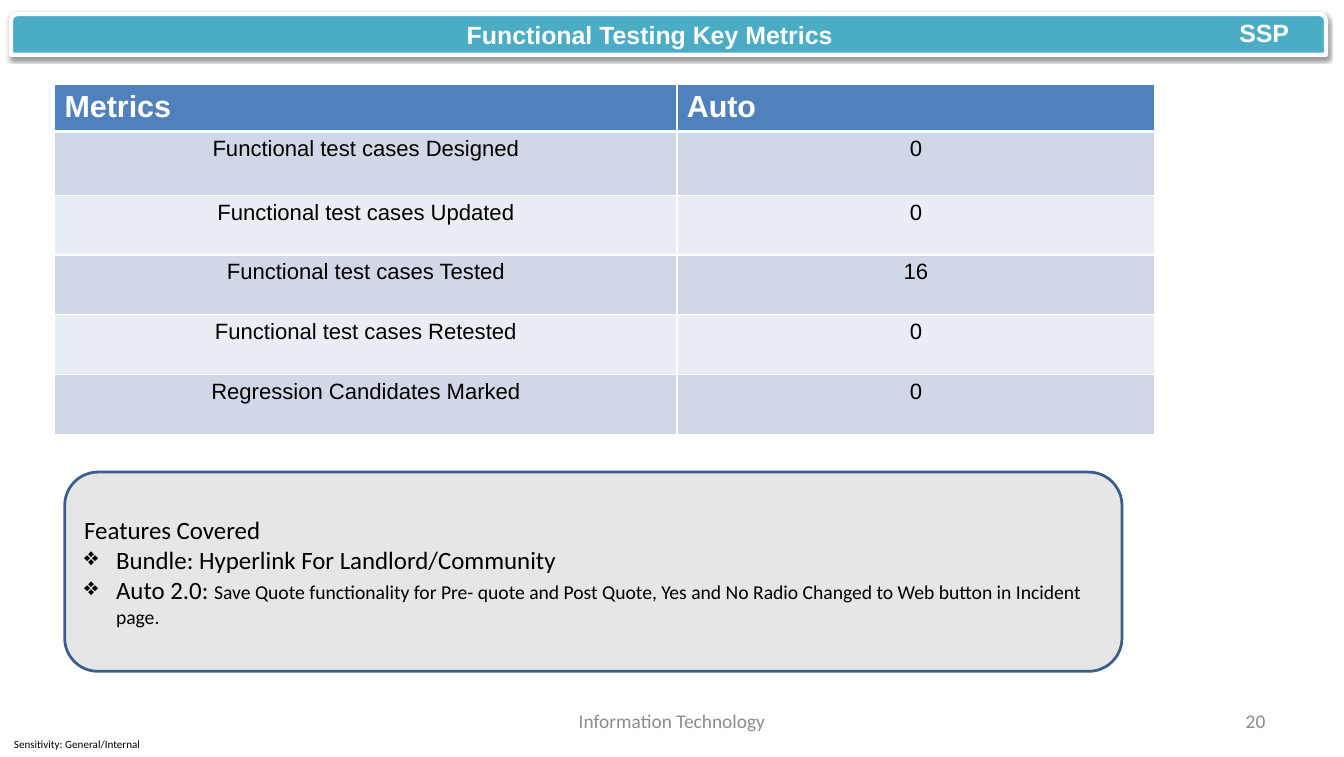
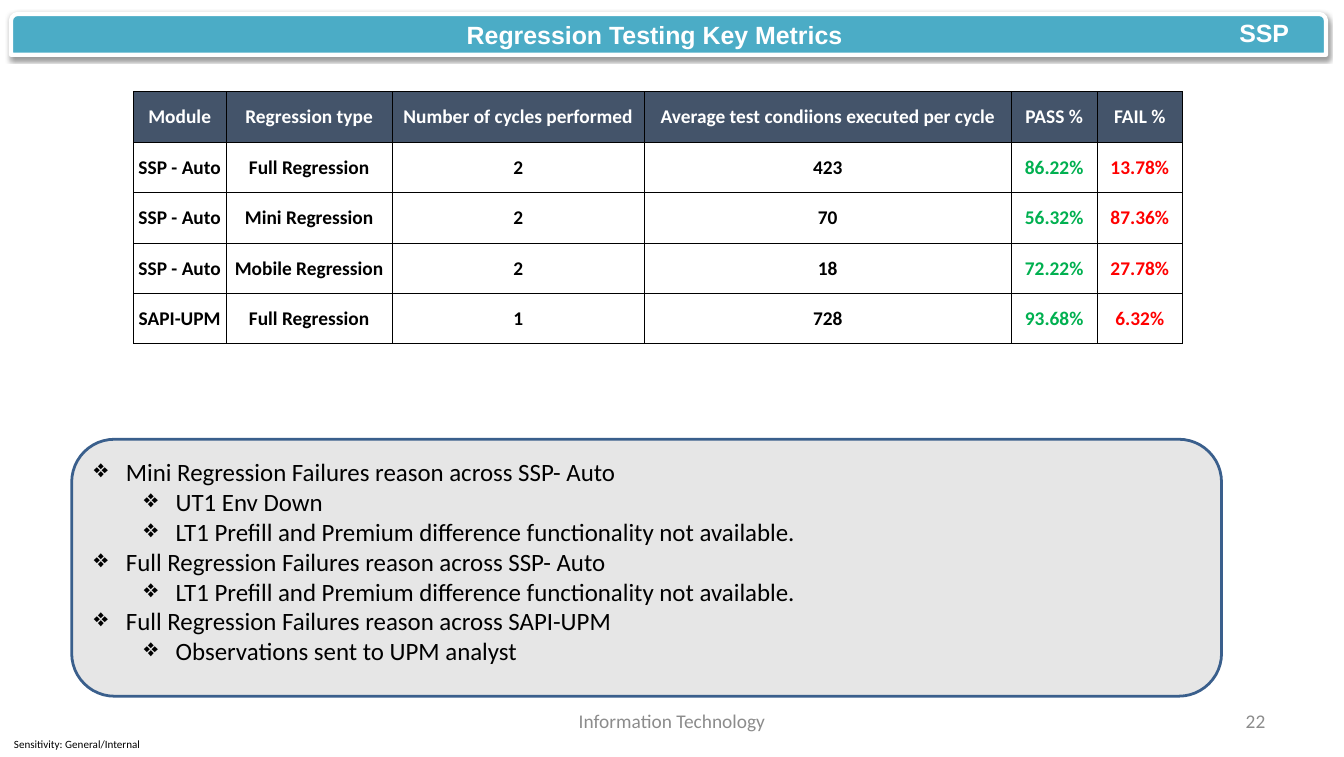
"""Build the two testing key metrics slides."""
from dataclasses import dataclass, field
from typing import NamedTuple

from lxml import etree
from pptx import Presentation
from pptx.dml.color import RGBColor
from pptx.enum.shapes import MSO_SHAPE
from pptx.enum.text import MSO_ANCHOR, MSO_AUTO_SIZE, PP_ALIGN
from pptx.oxml.ns import qn
from pptx.util import Inches, Pt

LEFT, CENTER, RIGHT = PP_ALIGN.LEFT, PP_ALIGN.CENTER, PP_ALIGN.RIGHT
TOP, MIDDLE = MSO_ANCHOR.TOP, MSO_ANCHOR.MIDDLE
BAND_SHAPE, PANEL_SHAPE = MSO_SHAPE.ROUND_2_SAME_RECTANGLE, MSO_SHAPE.ROUNDED_RECTANGLE
FIT_SHAPE = MSO_AUTO_SIZE.SHAPE_TO_FIT_TEXT

GRID_COLUMNS, GRID_ROWS = 135, 76
CELL = Inches(0.1)
WHITE, BLACK, MUTED = "FFFFFF", "000000", "8C8C8C"
BAND_FILL, PANEL_FILL, PANEL_LINE = "4BACC6", "E6E6E6", "3A5F8C"
HEADER_BLUE, ROW_BLUE, ROW_PALE = "4F81BD", "D0D8E8", "E9EDF4"
HEADER_SLATE, PASS_GREEN, FAIL_RED = "44546A", "00B050", "FF0000"
BULLET = "❖"
BULLET_INDENT, LEVEL_INDENT = 3.2, 5


class Box(NamedTuple):
    """A rectangle in grid columns and rows."""
    left: float
    top: float
    width: float
    height: float


class Insets(NamedTuple):
    """Text margins in grid units."""
    left: float = 1
    top: float = 0.5
    right: float = 1
    bottom: float = 0.5


@dataclass(frozen=True)
class TextStyle:
    """The look of a run and the alignment of its paragraph."""
    size: float
    color: str = BLACK
    font: str = "Calibri"
    bold: bool = False
    align: PP_ALIGN = LEFT


@dataclass(frozen=True)
class TableStyle:
    """The look of a table."""
    header: TextStyle
    body: TextStyle
    header_fill: str
    border: str
    border_width: float
    header_rule: float
    row_fills: tuple[str, ...] = ()
    column_colors: dict[int, str] = field(default_factory=dict)
    insets: Insets = Insets()
    anchor: MSO_ANCHOR = TOP


@dataclass(frozen=True)
class MetricsTable:
    """A table's place, proportions and wording."""
    left: float
    top: float
    columns: tuple[float, ...]
    rows: tuple[float, ...]
    cells: tuple[tuple[str, ...], ...]
    style: TableStyle


@dataclass(frozen=True)
class PanelLine:
    """One line of a panel; no level means no bullet."""
    text: str
    level: int | None = 0
    detail: str = ""


@dataclass(frozen=True)
class Panel:
    """A rounded panel of notes."""
    box: Box
    lines: tuple[PanelLine, ...]
    anchor: MSO_ANCHOR


@dataclass(frozen=True)
class MetricsSlide:
    """Everything that differs between the slides."""
    title: str
    title_width: float
    number: str
    table: MetricsTable
    panel: Panel


TITLE = TextStyle(18, WHITE, "Arial", True)
FOOTER = TextStyle(14, MUTED, align=CENTER)
NUMBER = TextStyle(14, MUTED, align=RIGHT)
SENSITIVITY = TextStyle(8)
PANEL_TEXT, PANEL_DETAIL = TextStyle(18), TextStyle(14.2)
FOOTER_INSETS = Insets(1.2, 0.6, 1.2, 0.6)

FUNCTIONAL_STYLE = TableStyle(
    TextStyle(22, WHITE, "Arial", True), TextStyle(16, BLACK, "Arial", align=CENTER),
    HEADER_BLUE, WHITE, 1, 3, (ROW_BLUE, ROW_PALE))
REGRESSION_STYLE = TableStyle(
    TextStyle(14, WHITE, bold=True, align=CENTER), TextStyle(14, bold=True, align=CENTER),
    HEADER_SLATE, BLACK, 0.5, 0.5, column_colors={4: PASS_GREEN, 5: FAIL_RED},
    insets=Insets(0.1, 0.1, 0.1, 0), anchor=MIDDLE)

SLIDES = (
    MetricsSlide(
        "Functional Testing Key Metrics", 39.6, "20",
        MetricsTable(5.5, 8.5, (62.5, 48), (4.7, 6.4, 6, 6, 6, 6), (
            ("Metrics", "Auto"),
            ("Functional test cases Designed", "0"),
            ("Functional test cases Updated", "0"),
            ("Functional test cases Tested", "16"),
            ("Functional test cases Retested", "0"),
            ("Regression Candidates Marked", "0")), FUNCTIONAL_STYLE),
        Panel(Box(6.5, 47.4, 106.2, 20), (
            PanelLine("Features Covered", None),
            PanelLine("Bundle: Hyperlink For Landlord/Community"),
            PanelLine("Auto 2.0: ", 0,
                      "Save Quote functionality for Pre- quote and Post Quote, Yes and No "
                      "Radio Changed to Web button in Incident page.")), MIDDLE)),
    MetricsSlide(
        "Regression Testing Key Metrics", 40.6, "22",
        MetricsTable(13.4, 9.2, (9.3, 16.7, 25.3, 36.9, 8.6, 8.6), (5.06,) * 5, (
            ("Module", "Regression type", "Number of cycles performed",
             "Average test condiions executed per cycle", "PASS %", "FAIL %"),
            ("SSP - Auto", "Full Regression", "2", "423", "86.22%", "13.78%"),
            ("SSP - Auto", "Mini Regression", "2", "70", "56.32%", "87.36%"),
            ("SSP - Auto", "Mobile Regression", "2", "18", "72.22%", "27.78%"),
            ("SAPI-UPM", "Full Regression", "1", "728", "93.68%", "6.32%")), REGRESSION_STYLE),
        Panel(Box(7.2, 44.1, 115.5, 25.8), (
            PanelLine("Mini Regression Failures reason across SSP- Auto"),
            PanelLine("UT1 Env Down", 1),
            PanelLine("LT1 Prefill and Premium difference functionality not available.", 1),
            PanelLine("Full Regression Failures reason across SSP- Auto"),
            PanelLine("LT1 Prefill and Premium difference functionality not available.", 1),
            PanelLine("Full Regression Failures reason across SAPI-UPM"),
            PanelLine("Observations sent to UPM analyst", 1)), TOP)),
)


def grid(units: float) -> int:
    """Turn grid units into a length."""
    return round(units * CELL)


def place(box: Box) -> tuple[int, ...]:
    """Turn a grid box into lengths."""
    return tuple(grid(units) for units in box)


def color(value: str) -> RGBColor:
    """Turn a hex string into a colour."""
    return RGBColor.from_string(value)


def format_run(run, style: TextStyle, run_color: str = "") -> None:
    """Apply a text style to a run."""
    run.font.size = Pt(style.size)
    run.font.name = style.font
    run.font.bold = style.bold
    run.font.color.rgb = color(run_color or style.color)


def write(text_frame, text: str, style: TextStyle, run_color: str = "") -> None:
    """Set a one-paragraph text and its look."""
    text_frame.text = text
    paragraph = text_frame.paragraphs[0]
    paragraph.alignment = style.align
    format_run(paragraph.runs[0], style, run_color)


def set_insets(target, insets: Insets) -> None:
    """Set the margins of a text frame or table cell."""
    target.margin_left, target.margin_top = grid(insets.left), grid(insets.top)
    target.margin_right, target.margin_bottom = grid(insets.right), grid(insets.bottom)


def add_label(slide, box: Box, text: str, style: TextStyle, insets: Insets = Insets(),
              anchor: MSO_ANCHOR = MIDDLE, wrap: bool = True) -> None:
    """Add a text box; one that does not wrap grows with its text."""
    text_frame = slide.shapes.add_textbox(*place(box)).text_frame
    text_frame.word_wrap = wrap
    if not wrap:
        text_frame.auto_size = FIT_SHAPE
    text_frame.vertical_anchor = anchor
    set_insets(text_frame, insets)
    write(text_frame, text, style)


def add_filled_shape(slide, kind: MSO_SHAPE, box: Box, fill: str, line: str, width: float):
    """Add a filled and outlined shape without a shadow."""
    shape = slide.shapes.add_shape(kind, *place(box))
    shape.shadow.inherit = False
    shape.fill.solid()
    shape.fill.fore_color.rgb = color(fill)
    shape.line.color.rgb = color(line)
    shape.line.width = Pt(width)
    return shape


def add_shadow(shape) -> None:
    """Give a shape a soft shadow below it."""
    effects = shape.element.spPr.find(qn("a:effectLst"))
    shadow = etree.SubElement(effects, qn("a:outerShdw"), blurRad=str(Pt(3.1)),
                              dist=str(Pt(1.6)), dir="5400000", rotWithShape="0")
    shade = etree.SubElement(shadow, qn("a:srgbClr"), val=BLACK)
    etree.SubElement(shade, qn("a:alpha"), val="38000")


def add_frame(slide, content: MetricsSlide) -> None:
    """Add the footers, title band and titles shared by the slides."""
    add_label(slide, Box(0, 73.5, 15.5, 2.5), "Sensitivity: General/Internal", SENSITIVITY,
              Insets(1.4, 0, 0, 0))
    add_label(slide, Box(46.1, 70.4, 42.8, 4), "Information Technology", FOOTER, FOOTER_INSETS)
    add_label(slide, Box(96.8, 70.4, 31.5, 4), content.number, NUMBER, FOOTER_INSETS)
    add_shadow(add_filled_shape(slide, BAND_SHAPE, Box(1.1, 1.4, 132.1, 4.1), BAND_FILL, WHITE, 3))
    add_label(slide, Box(45.9, 1.5, content.title_width, 4.1), content.title, TITLE,
              anchor=TOP, wrap=False)
    add_label(slide, Box(123.5, 1.3, 7.2, 4.1), "SSP", TITLE, anchor=TOP, wrap=False)


def add_borders(cell, line: str, widths: dict[str, float]) -> None:
    """Draw the four borders of a cell."""
    properties = cell._tc.get_or_add_tcPr()
    for side, width in widths.items():
        border = etree.SubElement(properties, qn(f"a:ln{side}"), w=str(Pt(width)))
        solid = etree.SubElement(border, qn("a:solidFill"))
        etree.SubElement(solid, qn("a:srgbClr"), val=line)


def add_metrics_table(slide, content: MetricsTable) -> None:
    """Add a table with its own fills and borders."""
    style = content.style
    box = Box(content.left, content.top, sum(content.columns), sum(content.rows))
    table = slide.shapes.add_table(len(content.rows), len(content.columns), *place(box)).table
    table.first_row = table.horz_banding = False
    for column, width in zip(table.columns, content.columns):
        column.width = grid(width)
    for index, (row, height) in enumerate(zip(table.rows, content.rows)):
        row.height = grid(height)
        fills = style.row_fills if index else (style.header_fill,)
        widths = dict.fromkeys("LRTB", style.border_width)
        if index < 2:
            widths["T" if index else "B"] = style.header_rule
        for position, cell in enumerate(row.cells):
            add_borders(cell, style.border, widths)
            if fills:
                cell.fill.solid()
                cell.fill.fore_color.rgb = color(fills[(index - 1) % len(fills)])
            else:
                cell.fill.background()
            set_insets(cell, style.insets)
            cell.vertical_anchor = style.anchor
            write(cell.text_frame, content.cells[index][position],
                  style.body if index else style.header,
                  style.column_colors.get(position, "") if index else "")


def add_bullet(paragraph, level: int) -> None:
    """Give a paragraph a hanging bullet."""
    paragraph.level = level
    properties = paragraph._p.get_or_add_pPr()
    properties.set("marL", str(grid(BULLET_INDENT + level * LEVEL_INDENT)))
    properties.set("indent", str(-grid(BULLET_INDENT)))
    etree.SubElement(properties, qn("a:buChar"), char=BULLET)


def add_panel(slide, panel: Panel) -> None:
    """Add a rounded panel with its lines of notes."""
    shape = add_filled_shape(slide, PANEL_SHAPE, panel.box, PANEL_FILL, PANEL_LINE, 2)
    text_frame = shape.text_frame
    text_frame.word_wrap = True
    text_frame.vertical_anchor = panel.anchor
    text_frame.text = "\n".join(line.text for line in panel.lines)
    for paragraph, line in zip(text_frame.paragraphs, panel.lines):
        paragraph.alignment = LEFT
        if line.level is not None:
            add_bullet(paragraph, line.level)
        format_run(paragraph.runs[0], PANEL_TEXT)
        if line.detail:
            run = paragraph.add_run()
            run.text = line.detail
            format_run(run, PANEL_DETAIL)


def main() -> None:
    """Build and save the presentation."""
    presentation = Presentation()
    presentation.slide_width, presentation.slide_height = grid(GRID_COLUMNS), grid(GRID_ROWS)
    for content in SLIDES:
        slide = presentation.slides.add_slide(presentation.slide_layouts[6])
        add_frame(slide, content)
        add_metrics_table(slide, content.table)
        add_panel(slide, content.panel)
    presentation.save("out.pptx")


if __name__ == "__main__":
    main()
